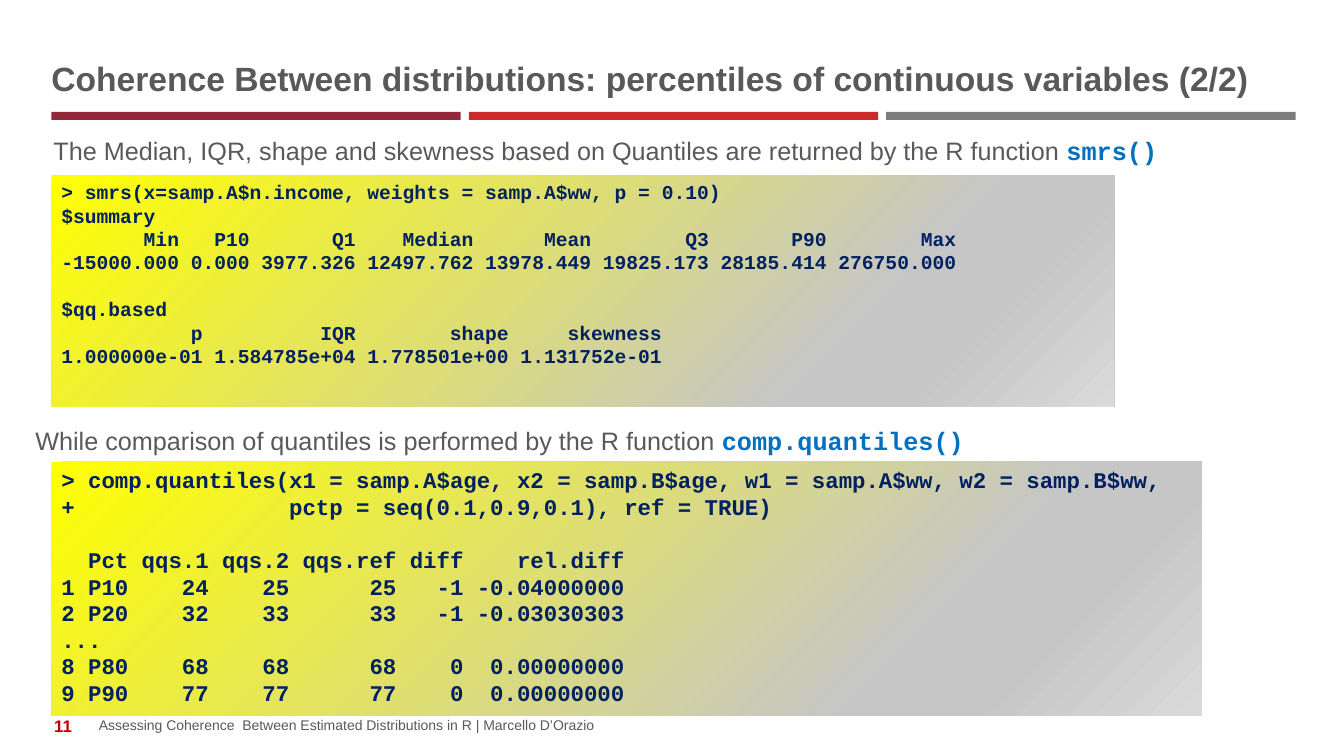
from pptx import Presentation
from pptx.dml.color import RGBColor
from pptx.enum.shapes import MSO_SHAPE
from pptx.enum.text import MSO_ANCHOR, MSO_AUTO_SIZE, PP_ALIGN
from pptx.oxml.ns import qn
from pptx.util import Pt
from lxml.etree import SubElement

# Content
TITLE = "Coherence Between distributions: percentiles of continuous variables (2/2)"
SMRS_INTRO = ("The Median, IQR, shape and skewness based on Quantiles "
              "are returned by the R function ", "smrs()")
COMP_INTRO = ("While comparison of quantiles is performed by the R function ",
              "comp.quantiles()")
PAGE = "11"
FOOTER = "Assessing Coherence  Between Estimated Distributions in R | Marcello D’Orazio"

SMRS_CALL = "> smrs(x=samp.A$n.income, weights = samp.A$ww, p = 0.10)"
SUMMARY = [
    ("Min", "P10", "Q1", "Median", "Mean", "Q3", "P90", "Max"),
    ("-15000.000", "0.000", "3977.326", "12497.762",
     "13978.449", "19825.173", "28185.414", "276750.000"),
]
QQ_BASED = [
    ("p", "IQR", "shape", "skewness"),
    ("1.000000e-01", "1.584785e+04", "1.778501e+00", "1.131752e-01"),
]
COMP_PROMPT = "> comp.quantiles("
COMP_ARGS = ("x1 = samp.A$age, x2 = samp.B$age, w1 = samp.A$ww, w2 = samp.B$ww,",
             "pctp = seq(0.1,0.9,0.1), ref = TRUE)")
QUANTILES = [
    ("", "Pct", "qqs.1", "qqs.2", "qqs.ref", "diff", "rel.diff"),
    ("1", "P10", "24", "25", "25", "-1", "-0.04000000"),
    ("2", "P20", "32", "33", "33", "-1", "-0.03030303"),
    ("8", "P80", "68", "68", "68", "0", "0.00000000"),
    ("9", "P90", "77", "77", "77", "0", "0.00000000"),
]

# Formats
PX = 9144  # 100 px to the inch
COLORS = {"maroon": "942639", "red": "CC2A2A", "gray": "7B7C7E", "text": "595959",
          "page": "C00000", "function": "0070C0", "code": "002060"}
PANEL_STOPS = [(0, "FFFF00"), (74, "C6C6C6"), (83, "C6C6C6"), (100, "D9D9D9")]
FONTS = {
    "title": {"name": "Arial", "size": Pt(24), "bold": True},
    "body": {"name": "Arial", "size": Pt(18), "bold": False},
    "function": {"name": "Courier New", "size": Pt(18), "bold": True},
    "page": {"name": "Arial", "size": Pt(12), "bold": True},
    "footer": {"name": "Arial", "size": Pt(10), "bold": False},
}


def console_rows(rows):
    """Right-align every column to its widest cell, as the R console does."""
    widths = [max(map(len, column)) for column in zip(*rows)]
    return [" ".join(cell.rjust(w) for cell, w in zip(row, widths)) for row in rows]


def place(shape, left, top, width, height):
    shape.left, shape.top = left * PX, top * PX
    shape.width, shape.height = width * PX, height * PX


def add_run(paragraph, text, font, color):
    run = paragraph.add_run()
    run.text = text
    for key, value in font.items():
        setattr(run.font, key, value)
    run.font.color.rgb = RGBColor.from_string(COLORS[color])


def set_frame(shape, anchor, inset=True):
    frame = shape.text_frame
    settings = {"word_wrap": True, "auto_size": MSO_AUTO_SIZE.NONE,
                "vertical_anchor": anchor}
    if not inset:
        settings.update(dict.fromkeys(
            ("margin_left", "margin_top", "margin_right", "margin_bottom"), 0))
    for key, value in settings.items():
        setattr(frame, key, value)
    return frame.paragraphs[0]


def add_rect(box):
    rect = slide.shapes.add_shape(MSO_SHAPE.RECTANGLE, *(v * PX for v in box))
    rect.shadow.inherit = False
    rect.line.fill.background()
    return rect


def fill_intro(shape, box, intro):
    place(shape, *box)
    paragraph = set_frame(shape, MSO_ANCHOR.TOP, inset=False)
    paragraph.space_before, paragraph.space_after = Pt(0), Pt(12)
    for text, font, color in zip(intro, ("body", "function"), ("text", "function")):
        add_run(paragraph, text, FONTS[font], color)
    return paragraph


def add_code_panel(box, size, blocks):
    panel = add_rect(box)
    panel.fill.gradient()
    panel.fill.gradient_angle = 315
    stops = panel.fill._xPr.find(qn("a:gradFill")).find(qn("a:gsLst"))
    for stop in list(stops):
        stops.remove(stop)
    for percent, color in PANEL_STOPS:
        stop = SubElement(stops, qn("a:gs"), pos=str(percent * 1000))
        SubElement(stop, qn("a:srgbClr"), val=color)
    font = {"name": "Courier New", "size": Pt(size), "bold": True}
    line_height = Pt(round(size * 1.19, 1))
    paragraph = set_frame(panel, MSO_ANCHOR.TOP)
    for b, block in enumerate(blocks):
        for n, line in enumerate(block):
            if b or n:
                paragraph = panel.text_frame.add_paragraph()
            paragraph.alignment = PP_ALIGN.LEFT
            paragraph.line_spacing = line_height
            paragraph.space_before = line_height if b and not n else Pt(0)
            add_run(paragraph, line, font, "code")


presentation = Presentation()
presentation.slide_width, presentation.slide_height = 1333 * PX, 750 * PX
slide = presentation.slides.add_slide(presentation.slide_layouts[1])
title, smrs_intro = slide.placeholders

# Title and the three-colour rule below it
place(title, 51, 58, 1232, 39)
heading = set_frame(title, MSO_ANCHOR.BOTTOM, inset=False)
heading.alignment, heading.line_spacing = PP_ALIGN.LEFT, Pt(30)
add_run(heading, TITLE, FONTS["title"], "text")
for i, color in enumerate(("maroon", "red", "gray")):
    bar = add_rect((51 + i * 414, 111, 406, 8))
    bar.fill.solid()
    bar.fill.fore_color.rgb = RGBColor.from_string(COLORS[color])

# Page number and footer
for text, box, font, color, anchor, align, inset in (
    (PAGE, (35, 700, 55, 40), "page", "page", MSO_ANCHOR.MIDDLE, PP_ALIGN.CENTER, True),
    (FOOTER, (98, 699, 1055, 28), "footer", "text", MSO_ANCHOR.BOTTOM, PP_ALIGN.LEFT, False),
):
    note = slide.shapes.add_textbox(*(v * PX for v in box))
    paragraph = set_frame(note, anchor, inset)
    paragraph.alignment = align
    add_run(paragraph, text, FONTS[font], color)

# smrs(): summary and quantile-based measures
lead = fill_intro(smrs_intro, (53, 134, 1232, 54), SMRS_INTRO)
lead_format = lead._p.get_or_add_pPr()
lead_format.set("marL", "0")
lead_format.set("indent", "0")
SubElement(lead_format, qn("a:buNone"))
add_code_panel((51, 174, 1054, 229), 14, [
    [SMRS_CALL, "$summary", *console_rows(SUMMARY)],
    ["$qq.based", *console_rows(QQ_BASED)],
])

# comp.quantiles(): percentiles compared
comp_intro = slide.shapes.add_textbox(0, 0, 0, 0)
fill_intro(comp_intro, (35, 422, 1232, 42), COMP_INTRO)
quantile_lines = console_rows(QUANTILES)
add_code_panel((51, 458, 1141, 252), 16, [
    [COMP_PROMPT + COMP_ARGS[0], "+".ljust(len(COMP_PROMPT)) + COMP_ARGS[1]],
    [*quantile_lines[:3], "...", *quantile_lines[3:]],
])

presentation.save("out.pptx")
